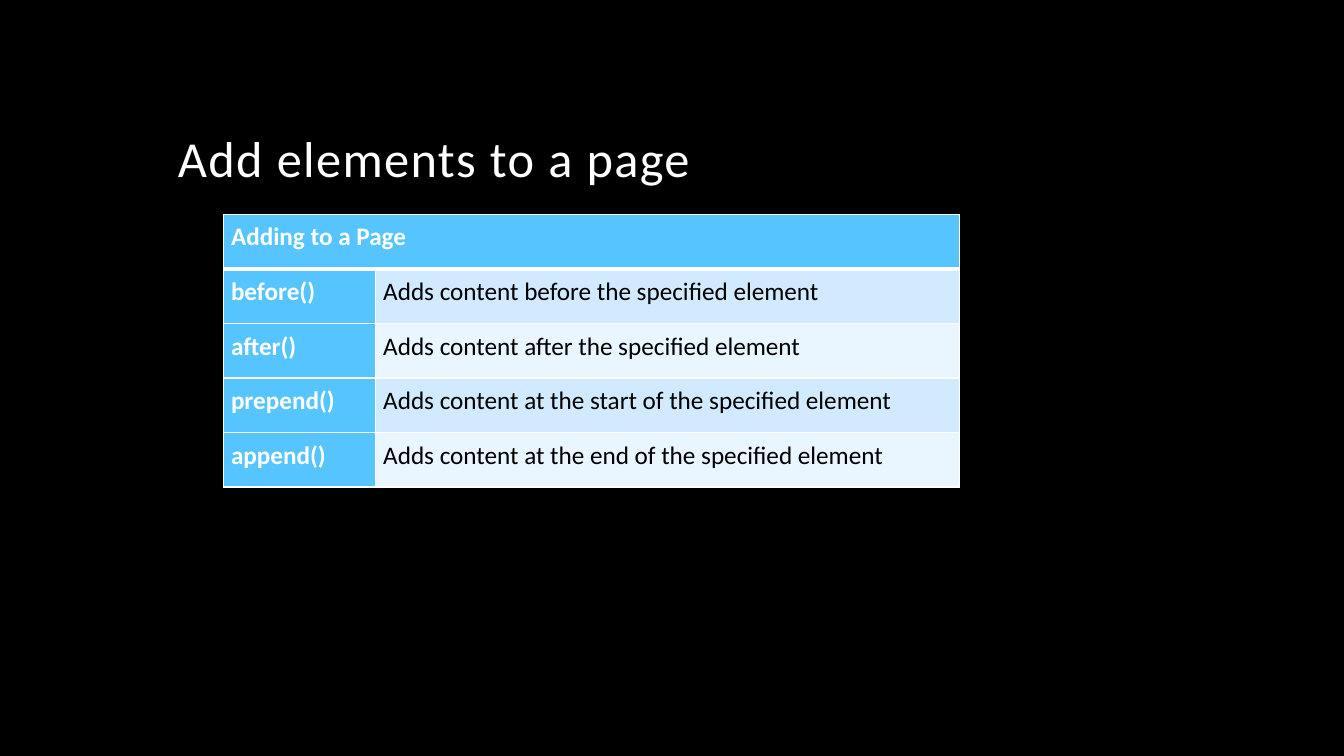
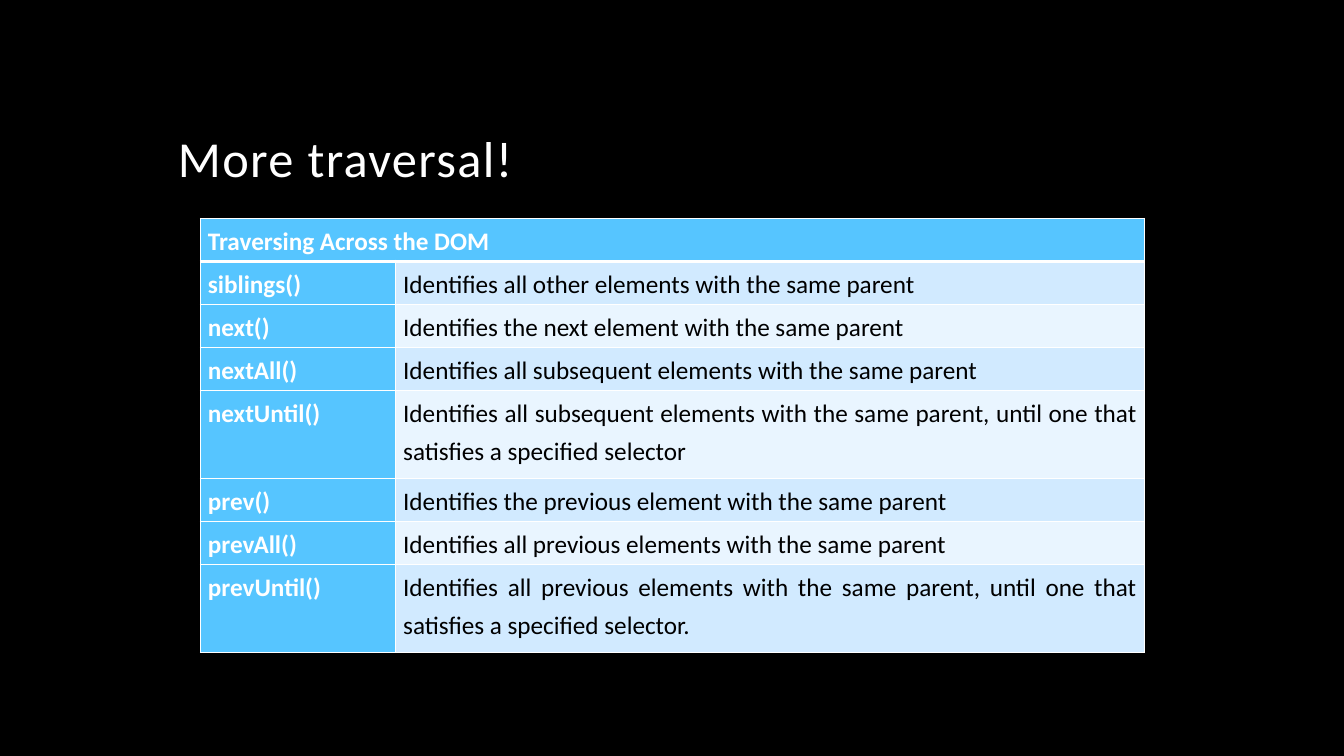
from lxml.etree import SubElement
from pptx import Presentation
from pptx.dml.color import RGBColor
from pptx.enum.text import MSO_ANCHOR, PP_ALIGN
from pptx.oxml.ns import qn
from pptx.util import Pt

EMU_PER_PX = 9525
FONT = "Calibri"
BLACK, WHITE = "000000", "FFFFFF"
ACCENT = "56C5FF"
BANDS = ("D1EAFF", "E9F5FF")
ONE_LINE, TWO_LINES, ROOMY = 41, 84, 52

ADDING = [
    ("before()", "Adds content before the specified element", ROOMY),
    ("after()", "Adds content after the specified element", ROOMY),
    ("prepend()", "Adds content at the start of the specified element", ROOMY),
    ("append()", "Adds content at the end of the specified element", ROOMY),
]
TRAVERSING = [
    ("siblings()", "Identifies all other elements with the same parent", ONE_LINE),
    ("next()", "Identifies the next element with the same parent", ONE_LINE),
    ("nextAll()", "Identifies all subsequent elements with the same parent", ONE_LINE),
    ("nextUntil()", "Identifies all subsequent elements with the same parent, "
     "until one that satisfies a specified selector", TWO_LINES),
    ("prev()", "Identifies the previous element with the same parent", ONE_LINE),
    ("prevAll()", "Identifies all previous elements with the same parent", ONE_LINE),
    ("prevUntil()", "Identifies all previous elements with the same parent, "
     "until one that satisfies a specified selector.", TWO_LINES),
]


def px(length):
    """Turn whole pixels into EMU."""
    return length * EMU_PER_PX


def color(code):
    """Turn a hex string into a colour."""
    return RGBColor.from_string(code)


def write(frame, text, size=18, fill=WHITE, bold=False, align=PP_ALIGN.JUSTIFY,
          line_spacing=1.25, tracking=0):
    """Write one formatted paragraph into a text frame."""
    para = frame.paragraphs[0]
    para.alignment = align
    para.line_spacing = line_spacing
    span = para.add_run()
    span.text = text
    span.font.name = FONT
    span.font.size = Pt(size)
    span.font.bold = bold
    span.font.color.rgb = color(fill)
    if tracking:
        span.font._element.set("spc", str(tracking * 100))


def add_page(deck, title):
    """Add a black page with its title."""
    page = deck.slides.add_slide(deck.slide_layouts[6])
    page.background.fill.solid()
    page.background.fill.fore_color.rgb = color(BLACK)
    box = page.shapes.add_textbox(px(160), px(40), px(960), px(144))
    frame = box.text_frame
    frame.word_wrap = True
    frame.vertical_anchor = MSO_ANCHOR.BOTTOM
    write(frame, title, size=36, align=PP_ALIGN.LEFT, line_spacing=0.9, tracking=1)
    return page


def add_borders(cell, top, bottom):
    """Draw white borders, with top and bottom widths in points."""
    properties = cell._tc.get_or_add_tcPr()
    sides = (("a:lnL", 1), ("a:lnR", 1), ("a:lnT", top), ("a:lnB", bottom))
    for index, (tag, width) in enumerate(sides):
        line = SubElement(properties, qn(tag), w=str(Pt(width)))
        fill = SubElement(line, qn("a:solidFill"))
        SubElement(fill, qn("a:srgbClr"), val=WHITE)
        properties.insert(index, line)


def style_cell(cell, row, fill):
    """Set the fill, margins and borders of a cell."""
    cell.fill.solid()
    cell.fill.fore_color.rgb = color(fill)
    cell.margin_left = cell.margin_right = px(7)
    cell.margin_top = cell.margin_bottom = 0
    add_borders(cell, top=3 if row == 1 else 1, bottom=3 if row == 0 else 1)


def add_method_table(page, left, top, widths, heading, heading_height, methods):
    """Add a table of methods under a heading that spans both columns."""
    heights = [heading_height] + [height for _, _, height in methods]
    table = page.shapes.add_table(len(heights), 2, px(left), px(top),
                                  px(sum(widths)), px(sum(heights))).table
    for column, width in zip(table.columns, widths):
        column.width = px(width)
    for row, height in zip(table.rows, heights):
        row.height = px(height)

    for cell in table.rows[0].cells:
        style_cell(cell, 0, ACCENT)
    table.cell(0, 0).merge(table.cell(0, 1))
    write(table.cell(0, 0).text_frame, heading, bold=True)

    for row, (name, description, _) in enumerate(methods, start=1):
        name_cell, description_cell = table.rows[row].cells
        style_cell(name_cell, row, ACCENT)
        write(name_cell.text_frame, name, bold=True)
        style_cell(description_cell, row, BANDS[(row - 1) % 2])
        write(description_cell.text_frame, description, fill=BLACK)


def main():
    """Build and save the deck."""
    deck = Presentation()
    deck.slide_width, deck.slide_height = px(1280), px(720)
    page = add_page(deck, "Add elements to a page")
    add_method_table(page, 213, 204, (145, 556), "Adding to a Page", ROOMY, ADDING)
    page = add_page(deck, "More traversal!")
    add_method_table(page, 191, 208, (186, 713), "Traversing Across the DOM",
                     ONE_LINE, TRAVERSING)
    deck.save("out.pptx")


if __name__ == "__main__":
    main()
